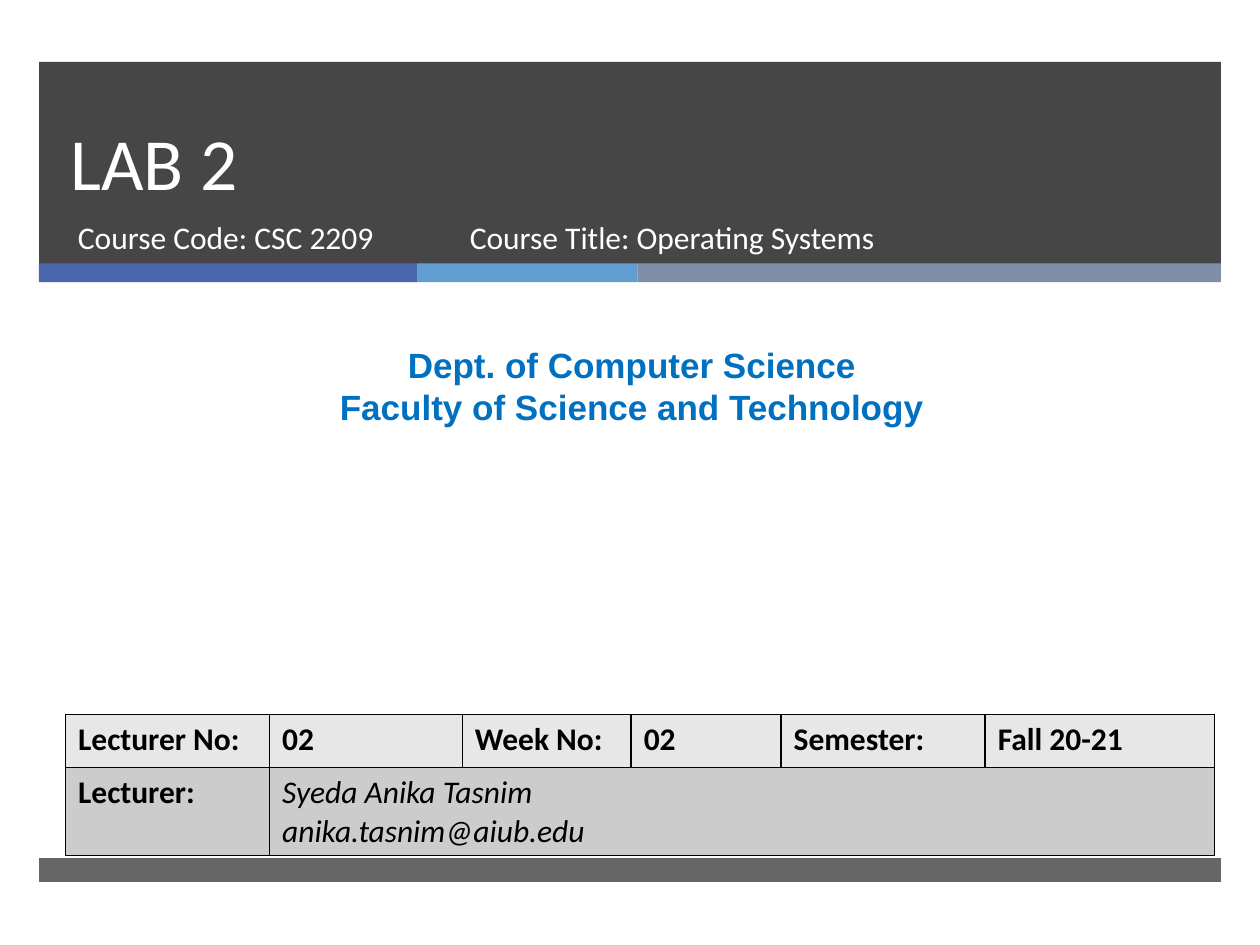
"""Build the title slide of an operating systems lab."""
from lxml import etree
from pptx import Presentation
from pptx.dml.color import RGBColor
from pptx.enum.shapes import MSO_SHAPE
from pptx.enum.text import MSO_ANCHOR, PP_ALIGN
from pptx.oxml.ns import qn
from pptx.util import Inches, Pt

RECTANGLE = MSO_SHAPE.RECTANGLE
TOP, BOTTOM = MSO_ANCHOR.TOP, MSO_ANCHOR.BOTTOM
LEFT, CENTER = PP_ALIGN.LEFT, PP_ALIGN.CENTER

WHITE = RGBColor(0xFF, 0xFF, 0xFF)
BLACK = RGBColor(0x00, 0x00, 0x00)
CHARCOAL = RGBColor(0x26, 0x26, 0x26)
INDIGO = RGBColor(0x4A, 0x66, 0xAC)
SKY = RGBColor(0x62, 0x9D, 0xD1)
SLATE = RGBColor(0x7F, 0x8F, 0xA9)
BLUE = RGBColor(0x00, 0x70, 0xC0)
ROW_FILLS = [RGBColor(0xE7, 0xE7, 0xE7), RGBColor(0xCC, 0xCC, 0xCC)]

BAND_LEFT, BAND_WIDTH = 0.31, 9.38
STRIPES = [(3, INDIGO), (1.75, SKY), (4.63, SLATE)]

TITLE = ["LAB 2"]
COURSE_CODE = ["Course Code: CSC 2209"]
COURSE_TITLE = ["Course Title: Operating Systems"]
DEPARTMENT = ["Dept. of Computer Science", "Faculty of Science and Technology"]

DETAILS = [
    ["Lecturer No:", "02", "Week No:", "02", "Semester:", "Fall 20-21"],
    ["Lecturer:", "Syeda Anika Tasnim\nanika.tasnim@aiub.edu"],
]
COLUMN_WIDTHS = [1.62, 1.53, 1.34, 1.19, 1.62, 1.82]
ROW_HEIGHTS = [0.42, 0.7]


def style(paragraph, size, color, font="Calibri", bold=False, italic=False):
    paragraph.font.size = Pt(size)
    paragraph.font.name = font
    paragraph.font.color.rgb = color
    paragraph.font.bold = bold
    paragraph.font.italic = italic


def add_band(slide, left, top, width, height, color, opacity=100):
    band = slide.shapes.add_shape(
        RECTANGLE, Inches(left), Inches(top), Inches(width), Inches(height))
    band.shadow.inherit = False
    band.line.fill.background()
    band.fill.solid()
    band.fill.fore_color.rgb = color
    if opacity < 100:
        tint = band.fill._xPr.find(qn("a:solidFill"))[0]
        etree.SubElement(tint, qn("a:alpha"), val=str(opacity * 1000))


def add_text(slide, lines, box, size, color, font="Calibri", bold=False,
             align=LEFT, anchor=TOP, spacing=None):
    frame = slide.shapes.add_textbox(*map(Inches, box)).text_frame
    frame.word_wrap = True
    frame.vertical_anchor = anchor
    frame.text = "\n".join(lines)
    for paragraph in frame.paragraphs:
        paragraph.alignment = align
        paragraph.line_spacing = spacing
        style(paragraph, size, color, font, bold)


def add_borders(cell):
    properties = cell._tc.get_or_add_tcPr()
    for side in ("a:lnL", "a:lnR", "a:lnT", "a:lnB"):
        line = etree.SubElement(properties, qn(side), w=str(Pt(1)))
        fill = etree.SubElement(line, qn("a:solidFill"))
        etree.SubElement(fill, qn("a:srgbClr"), val=str(BLACK))


def add_details(slide, left, top):
    table = slide.shapes.add_table(
        len(DETAILS), len(COLUMN_WIDTHS), Inches(left), Inches(top),
        Inches(sum(COLUMN_WIDTHS)), Inches(sum(ROW_HEIGHTS))).table
    for column, width in zip(table.columns, COLUMN_WIDTHS):
        column.width = Inches(width)
    for row, height, fill in zip(table.rows, ROW_HEIGHTS, ROW_FILLS):
        row.height = Inches(height)
        for cell in row.cells:
            add_borders(cell)
            cell.fill.solid()
            cell.fill.fore_color.rgb = fill
    table.cell(1, 1).merge(table.cell(1, len(COLUMN_WIDTHS) - 1))
    for r, texts in enumerate(DETAILS):
        for c, text in enumerate(texts):
            is_lecturer = (r, c) == (1, 1)
            frame = table.cell(r, c).text_frame
            frame.text = text
            for paragraph in frame.paragraphs:
                style(paragraph, 18, BLACK, bold=not is_lecturer, italic=is_lecturer)


def main():
    deck = Presentation()
    deck.slide_width, deck.slide_height = Inches(10), Inches(7.5)
    slide = deck.slides.add_slide(deck.slide_layouts[6])

    add_band(slide, BAND_LEFT, 0.49, BAND_WIDTH, 1.61, CHARCOAL, 85)
    stripe_left = BAND_LEFT
    for width, color in STRIPES:
        add_band(slide, stripe_left, 2.09, width, 0.15, color)
        stripe_left += width
    add_band(slide, BAND_LEFT, 6.81, BAND_WIDTH, 0.19, CHARCOAL, 70)

    add_text(slide, TITLE, (0.46, 0.49, 8.54, 1.19), 42, WHITE,
             anchor=BOTTOM, spacing=Pt(46))
    add_text(slide, COURSE_CODE, (0.52, 1.68, 3.05, 0.53), 18, WHITE)
    add_text(slide, DEPARTMENT, (0.08, 2.68, 9.87, 0.77), 20, BLUE,
             font="Arial", bold=True, align=CENTER)
    add_details(slide, 0.52, 5.67)
    add_text(slide, COURSE_TITLE, (3.63, 1.68, 4.55, 0.53), 18, WHITE)
    deck.save("out.pptx")


if __name__ == "__main__":
    main()
